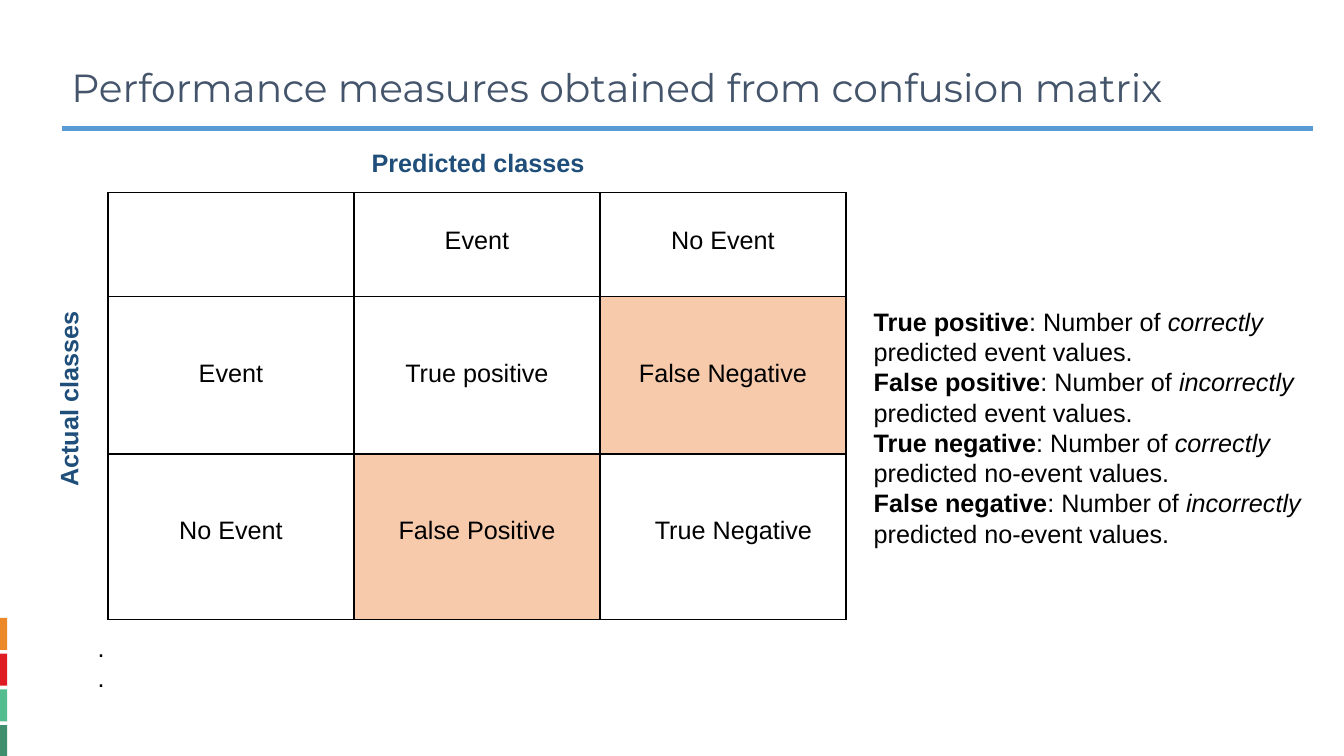
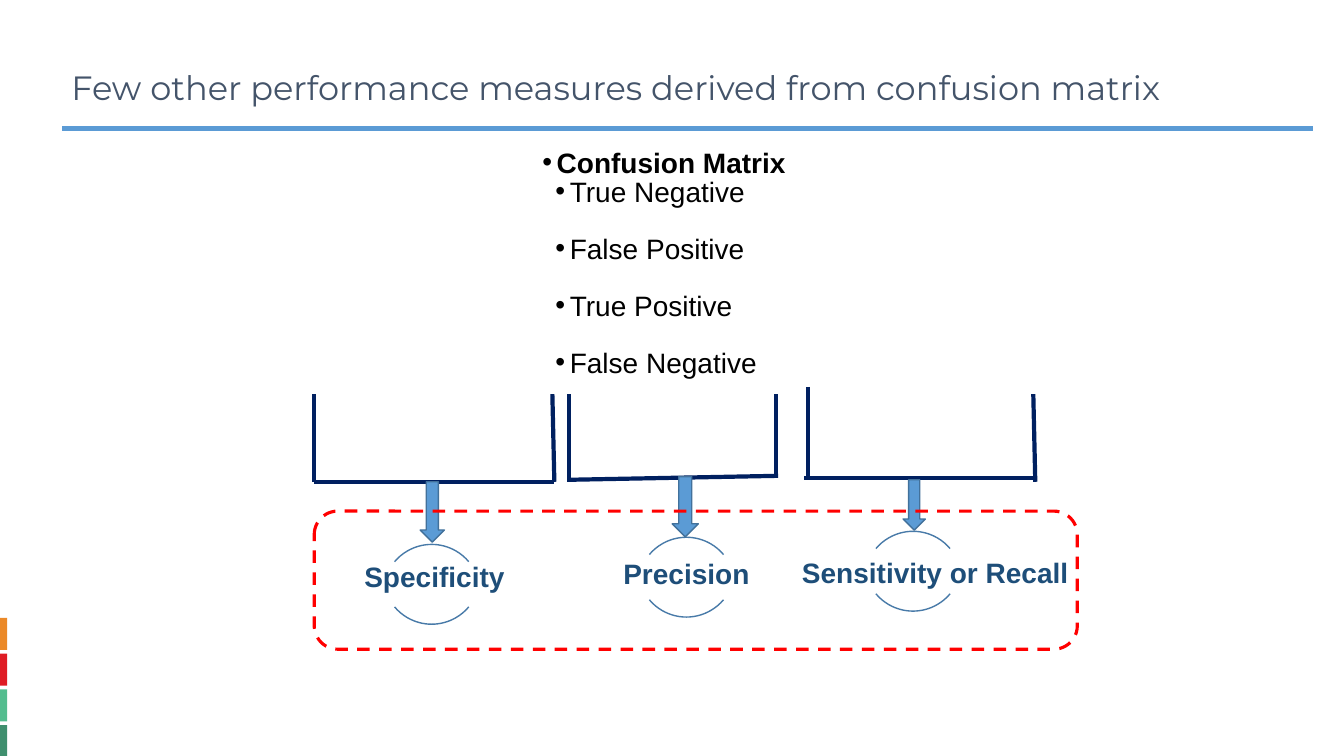
"""Build two slides about confusion matrix measures."""
from lxml import etree
from pptx import Presentation
from pptx import util as u
from pptx.dml.color import RGBColor
from pptx.enum import dml, shapes, text
from pptx.oxml import ns

WHITE = RGBColor(0xFF, 0xFF, 0xFF)
BLACK = RGBColor(0, 0, 0)
SLATE = RGBColor(0x44, 0x54, 0x6A)
BLUE = RGBColor(0x5B, 0x9B, 0xD5)
ARROW_EDGE = RGBColor(0x42, 0x71, 0x9B)
ARC_BLUE = RGBColor(0x48, 0x7A, 0xA8)
DEEP_BLUE = RGBColor(0x1E, 0x4E, 0x79)
NAVY = RGBColor(0x00, 0x20, 0x60)
RED = RGBColor(0xFF, 0, 0)
PEACH = RGBColor(0xF7, 0xCA, 0xAC)
TAB_COLORS = (
    RGBColor(0xEB, 0x89, 0x28),
    RGBColor(0xDF, 0x1C, 0x24),
    RGBColor(0x54, 0xBD, 0x8F),
    RGBColor(0x3F, 0x8F, 0x6E),
)

BODY = {"name": "Arial", "size": u.Pt(18)}
LABEL = {**BODY, "bold": True}
BIG = {**BODY, "size": u.Pt(20)}
BIG_LABEL = {**BIG, "bold": True}
CENTERED = {"alignment": text.PP_ALIGN.CENTER}
MIDDLE = {"vertical_anchor": text.MSO_ANCHOR.MIDDLE}
NO_INSETS = dict.fromkeys(
    ("margin_left", "margin_top", "margin_right", "margin_bottom"), 0)

MATRIX = (
    ("", "Event", "No Event"),
    ("Event", "True positive", "False Negative"),
    ("No Event", "False Positive", "True Negative"),
)
COLUMN_WIDTH = 6.2
ROW_HEIGHTS = (2.63, 3.96, 4.18)
ROW_MARGINS = (0.86, 1.59, 1.59)
ERROR_CELLS = {(1, 2), (2, 1)}
SHIFTED_CELL = (2, 2)

DEFINITIONS = (
    ("True positive", "correctly", "event"),
    ("False positive", "incorrectly", "event"),
    ("True negative", "correctly", "no-event"),
    ("False negative", "incorrectly", "no-event"),
)

OUTCOMES = ("True Negative", "False Positive", "True Positive", "False Negative")
MEASURES = (
    {
        "name": "Specificity",
        "label": (8.51, 13.79, 4.88, 1.55),
        "arc": (9.66, 13.72),
        "arrow": (10.59, 12.14, 0.61, 1.52),
        "bracket": ((7.92, 9.93, 7.92, 12.14), (7.92, 12.14, 13.97, 12.14),
                    (13.92, 9.93, 13.97, 12.14)),
    },
    {
        "name": "Precision",
        "label": (14.86, 13.72, 4.88, 1.55),
        "arc": (16.08, 13.54),
        "arrow": (16.94, 12.01, 0.66, 1.52),
        "bracket": ((14.33, 9.93, 14.33, 12.14), (14.33, 12.09, 19.61, 11.99),
                    (19.56, 9.93, 19.56, 12.04)),
    },
    {
        "name": "Sensitivity or Recall",
        "label": (19.1, 13.69, 8.94, 1.55),
        "arc": (21.79, 13.39),
        "arrow": (22.76, 12.09, 0.56, 1.27),
        "bracket": ((20.37, 9.75, 20.37, 11.99), (20.27, 12.04, 26.04, 12.04),
                    (26.04, 9.93, 26.09, 12.14)),
    },
)
ARC_SIZE = 2.44
ARC_OVERLAP = 0.43
UPPER_ARC = (132, 192)
LOWER_ARC = (24, 84)


def apply(target, values):
    """Set each attribute in values on the target."""
    for name, value in values.items():
        setattr(target, name, value)


def lengths(numbers):
    """Turn centimetre numbers into lengths."""
    return [u.Cm(number) for number in numbers]


def add_span(para, words, font, color=BLACK):
    """Add a formatted run to a paragraph."""
    span = para.add_run()
    span.text = words
    apply(span.font, font)
    span.font.color.rgb = color


def add_box(page, area, frame=None):
    """Add a wrapping text box and return it."""
    box = page.shapes.add_textbox(*lengths(area))
    apply(box.text_frame, {"word_wrap": True, **(frame or {})})
    return box


def add_label(page, area, words, font, color, para_format, frame=None):
    """Add a text box holding one formatted line."""
    box = add_box(page, area, frame)
    para = box.text_frame.paragraphs[0]
    apply(para, para_format)
    add_span(para, words, font, color)
    return box


def add_figure(page, kind, area, fill=None, edge=None, width=1, adjust=()):
    """Add a preset shape with optional fill, outline and adjustments."""
    figure = page.shapes.add_shape(kind, *lengths(area))
    figure.shadow.inherit = False
    for index, value in enumerate(adjust):
        figure.adjustments[index] = value
    if fill is None:
        figure.fill.background()
    else:
        figure.fill.solid()
        figure.fill.fore_color.rgb = fill
    if edge is None:
        figure.line.fill.background()
    else:
        figure.line.color.rgb = edge
        figure.line.width = u.Pt(width)
    return figure


def add_line(page, ends):
    """Add a thick navy straight line."""
    line = page.shapes.add_connector(
        shapes.MSO_CONNECTOR.STRAIGHT, *lengths(ends))
    line.line.color.rgb = NAVY
    line.line.width = u.Pt(3)
    etree.SubElement(line._element.spPr, ns.qn("a:effectLst"))


def add_page(deck, title, size):
    """Add a slide with the shared title, rule and side tabs."""
    page = deck.slides.add_slide(deck.slide_layouts[6])
    rectangle = shapes.MSO_SHAPE.RECTANGLE
    add_figure(page, rectangle, (1.55, 3.15, 31.55, 0.18), BLUE, WHITE)
    for index, color in enumerate(TAB_COLORS):
        add_figure(page, rectangle, (0, 15.57 + 0.9 * index, 0.18, 0.81), color)
    add_label(page, (1.55, 0.43, 29.21, 3.68), title,
              {"name": "Montserrat", "size": u.Pt(size)}, SLATE,
              {"line_spacing": 0.9}, MIDDLE)
    return page


def add_borders(cell):
    """Draw a thin black border round a table cell."""
    properties = cell._tc.get_or_add_tcPr()
    for index, side in enumerate(("lnL", "lnR", "lnT", "lnB")):
        border = etree.Element(ns.qn(f"a:{side}"), w=str(u.Pt(1)))
        fill = etree.SubElement(border, ns.qn("a:solidFill"))
        etree.SubElement(fill, ns.qn("a:srgbClr"), val=str(BLACK))
        properties.insert(index, border)


def add_matrix(page):
    """Add the confusion matrix table."""
    area = (2.72, 4.85, COLUMN_WIDTH * 3, sum(ROW_HEIGHTS))
    table = page.shapes.add_table(3, 3, *lengths(area)).table
    apply(table, {"first_row": False, "horz_banding": False})
    for column in table.columns:
        column.width = u.Cm(COLUMN_WIDTH)
    for row, words_in_row in enumerate(MATRIX):
        table.rows[row].height = u.Cm(ROW_HEIGHTS[row])
        for column, words in enumerate(words_in_row):
            cell = table.cell(row, column)
            cell.margin_top = u.Cm(ROW_MARGINS[row])
            if (row, column) == SHIFTED_CELL:
                cell.margin_left = u.Cm(0.78)
            if (row, column) in ERROR_CELLS:
                cell.fill.solid()
                cell.fill.fore_color.rgb = PEACH
            else:
                cell.fill.background()
            add_borders(cell)
            if words:
                para = cell.text_frame.paragraphs[0]
                apply(para, CENTERED)
                add_span(para, words, BODY)


def add_paragraphs(box, count):
    """Return the given number of paragraphs in a box."""
    frame = box.text_frame
    return [frame.paragraphs[0]] + [frame.add_paragraph() for _ in range(count - 1)]


def add_definitions(page):
    """Add the four definitions beside the matrix."""
    box = add_box(page, (21.77, 7.59, 11.33, 6.4))
    paras = add_paragraphs(box, len(DEFINITIONS))
    for para, (term, manner, kind) in zip(paras, DEFINITIONS):
        add_span(para, term, LABEL)
        add_span(para, ": Number of ", BODY)
        add_span(para, manner, {**BODY, "italic": True})
        add_span(para, f" predicted {kind} values.", BODY)


def add_bullet(para, indent):
    """Give a paragraph a hanging round bullet."""
    properties = para._p.get_or_add_pPr()
    properties.set("marL", str(u.Cm(indent)))
    properties.set("indent", str(-u.Cm(0.36)))
    color = etree.SubElement(properties, ns.qn("a:buClr"))
    etree.SubElement(color, ns.qn("a:srgbClr"), val=str(BLACK))
    etree.SubElement(properties, ns.qn("a:buFont"), typeface="Arial")
    etree.SubElement(properties, ns.qn("a:buChar"), char="•")


def add_outcomes(page):
    """Add the bulleted list of matrix outcomes."""
    box = add_box(page, (13.67, 3.86, 8, 5.8), NO_INSETS)
    heading, *items = add_paragraphs(box, len(OUTCOMES) + 1)
    add_bullet(heading, 0.36)
    heading.line_spacing = 0.75
    add_span(heading, "Confusion Matrix", BIG_LABEL)
    for index, (para, outcome) in enumerate(zip(items, OUTCOMES)):
        add_bullet(para, 0.69)
        gap = u.Pt(22.7 if index else 2.7)
        apply(para, {"line_spacing": 0.75, "space_before": gap})
        add_span(para, outcome, BIG)


def add_measure(page, measure):
    """Add a bracket, arrow, pair of arcs and label for one measure."""
    for ends in measure["bracket"]:
        add_line(page, ends)
    left, top = measure["arc"]
    for arc_top, angles in ((top, UPPER_ARC), (top - ARC_OVERLAP, LOWER_ARC)):
        add_figure(page, shapes.MSO_SHAPE.ARC, (left, arc_top, ARC_SIZE, ARC_SIZE),
                   edge=ARC_BLUE, adjust=angles)
    add_label(page, measure["label"], measure["name"], BIG_LABEL, DEEP_BLUE,
              {**CENTERED, "line_spacing": 0.9}, {**NO_INSETS, **MIDDLE})
    add_figure(page, shapes.MSO_SHAPE.DOWN_ARROW, measure["arrow"], BLUE, ARROW_EDGE)


def build_matrix_page(deck):
    """Build the slide with the confusion matrix."""
    page = add_page(deck, "Performance measures obtained from confusion matrix", 28)
    dots = add_box(page, (2.21, 15.8, 21.92, 1.8))
    for para in add_paragraphs(dots, 2):
        add_span(para, ".", BODY)
    add_matrix(page)
    side = add_label(page, (-0.74, 9.55, 4.93, 1.02), "Actual classes",
                     LABEL, DEEP_BLUE, CENTERED)
    side.rotation = 270
    add_label(page, (8.99, 3.58, 6.12, 1.02), "Predicted classes",
              LABEL, DEEP_BLUE, CENTERED)
    add_definitions(page)


def build_measures_page(deck):
    """Build the slide with the derived measures."""
    page = add_page(
        deck, "Few other performance measures derived from confusion matrix", 24)
    add_outcomes(page)
    for measure in MEASURES:
        add_measure(page, measure)
    frame = add_figure(page, shapes.MSO_SHAPE.ROUNDED_RECTANGLE,
                       (7.92, 12.88, 19.23, 3.48), edge=RED, width=2.25,
                       adjust=(0.17,))
    frame.line.dash_style = dml.MSO_LINE.DASH


def main():
    """Build and save the deck."""
    deck = Presentation()
    apply(deck, {"slide_width": u.Cm(33.87), "slide_height": u.Cm(19.05)})
    build_matrix_page(deck)
    build_measures_page(deck)
    deck.save("out.pptx")


if __name__ == "__main__":
    main()
